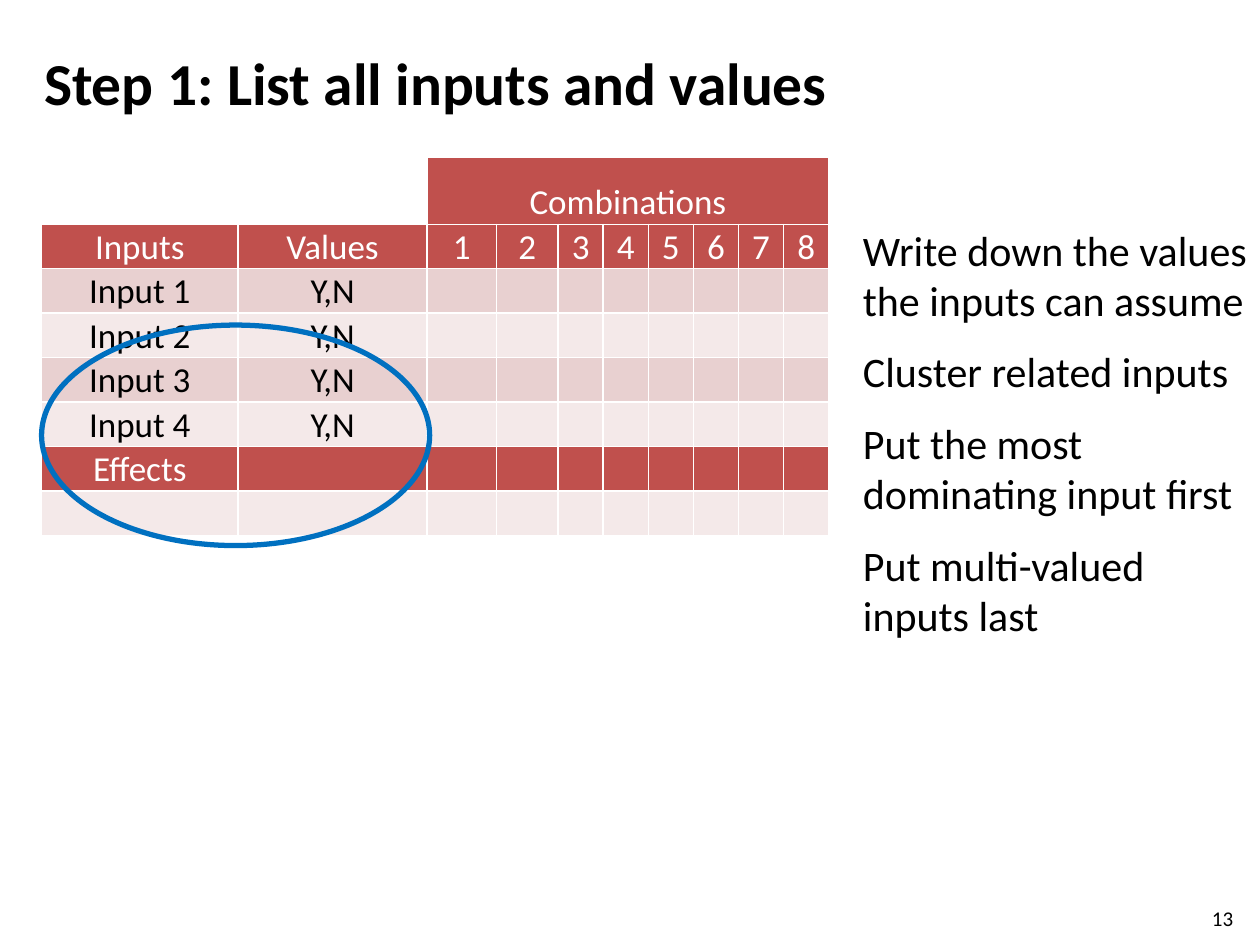
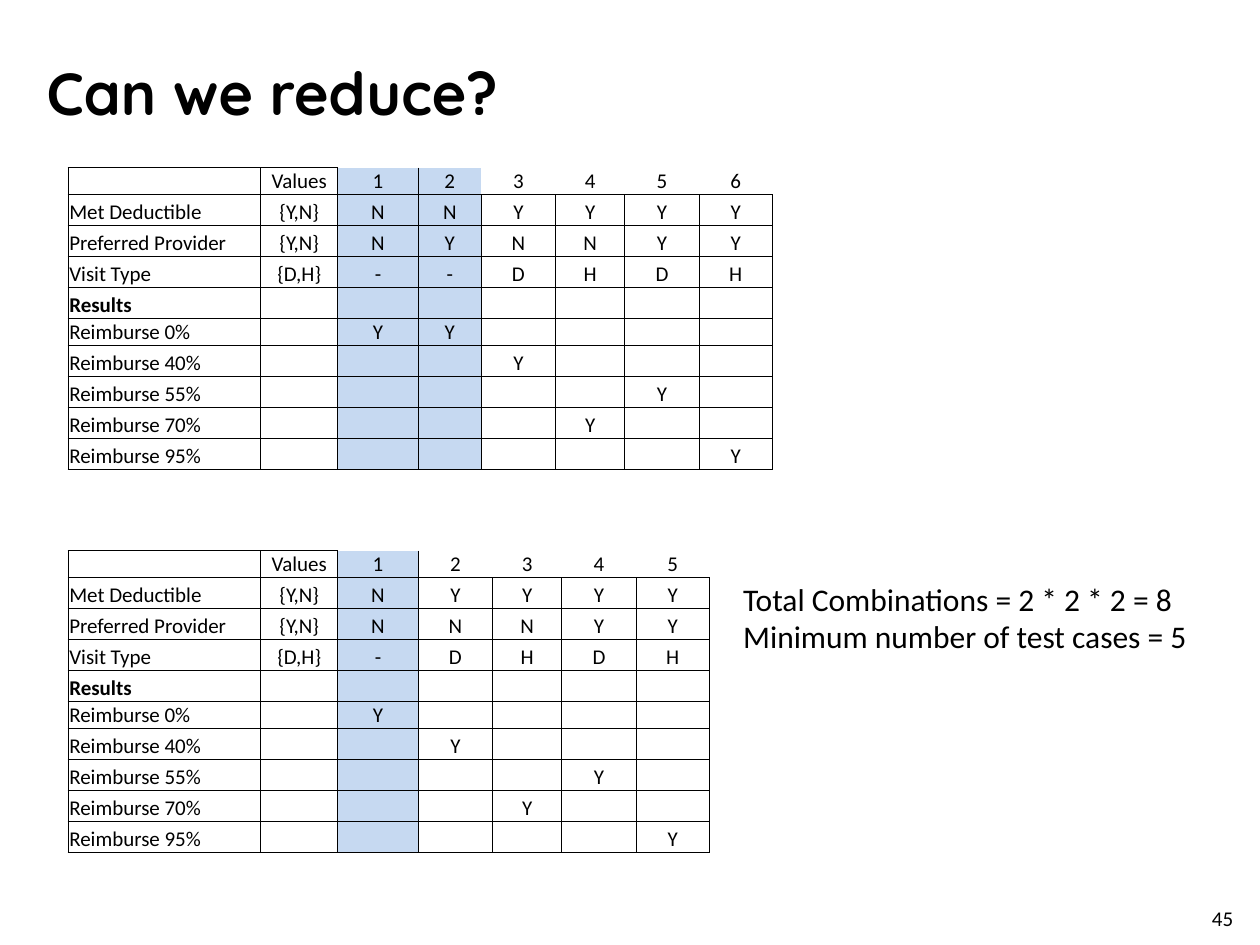
"""Build two slides about decision tables for choosing test cases."""
from lxml import etree
from pptx import Presentation
from pptx.dml.color import RGBColor
from pptx.enum.shapes import MSO_SHAPE
from pptx.enum.text import MSO_ANCHOR, MSO_AUTO_SIZE, PP_ALIGN
from pptx.oxml.ns import qn
from pptx.util import Inches, Pt

LEFT, CENTER = PP_ALIGN.LEFT, PP_ALIGN.CENTER
TOP, MIDDLE, BOTTOM = MSO_ANCHOR.TOP, MSO_ANCHOR.MIDDLE, MSO_ANCHOR.BOTTOM
NO_FIT = MSO_AUTO_SIZE.NONE
OVAL = MSO_SHAPE.OVAL
TITLE_ONLY = 5
COLUMNS, ROWS = 100, 75
PLAIN_TABLE = "{2D5ABB26-0587-4C30-8999-92F81FD0307C}"
COLORS = {
    "ink": "000000", "paper": "FFFFFF", "header": "C0504D", "band_dark": "E8D0D0",
    "band_light": "F4E9E9", "highlight": "C6D9F1", "ring": "0070C0",
}
FONT = "Calibri"

HINTS = [
    "Write down the values the inputs can assume",
    "Cluster related inputs",
    "Put the most dominating input first",
    "Put multi-valued inputs last",
]
CONDITIONS = [("Met Deductible", "{Y,N}"), ("Preferred Provider", "{Y,N}"), ("Visit Type", "{D,H}")]
RATES = [0, 40, 55, 70, 95]
CASES = [
    ("NN-", 0, 6.4), ("NY-", 0, 5), ("YND", 40, 5.9),
    ("YNH", 70, 5.5), ("YYD", 55, 5.9), ("YYH", 95, 5.8),
]


def set_all(target, values):
    """Set each named attribute of the target."""
    for name, value in values.items():
        setattr(target, name, value)


class SlideMaker:
    """Hold the deck, the shared style and the current slide."""

    def __init__(self):
        """Start an empty deck measured by the grid."""
        self.deck = Presentation()
        set_all(self.deck, {"slide_width": Inches(10), "slide_height": Inches(7.5)})
        self.column = self.deck.slide_width / COLUMNS
        self.row = self.deck.slide_height / ROWS
        self.page = None

    def place(self, left, top, width, height):
        """Turn grid columns and rows into lengths."""
        return (round(left * self.column), round(top * self.row),
                round(width * self.column), round(height * self.row))

    def color(self, name):
        """Look up a colour."""
        return RGBColor.from_string(COLORS[name])

    def add_span(self, para, text, size, color="ink", bold=False, font=FONT, align=LEFT):
        """Put one formatted span into a paragraph."""
        para.alignment = align
        span = para.add_run()
        span.text = text
        set_all(span.font, {"size": Pt(size), "name": font, "bold": bold})
        span.font.color.rgb = self.color(color)

    def start(self, title, number, area, font=FONT):
        """Add a slide with its title and page number."""
        self.page = self.deck.slides.add_slide(self.deck.slide_layouts[TITLE_ONLY])
        box = self.page.shapes.title
        set_all(box, dict(zip(("left", "top", "width", "height"), self.place(*area))))
        set_all(box.text_frame, {"word_wrap": True, "auto_size": NO_FIT, "vertical_anchor": MIDDLE})
        self.add_span(box.text_frame.paragraphs[0], title, 34, bold=True, font=font)
        self.text((95.2, 71.4, 4, 2.4), [str(number)], 12)

    def text(self, area, lines, size, gap=0):
        """Add a text box with one paragraph a line."""
        frame = self.page.shapes.add_textbox(*self.place(*area)).text_frame
        set_all(frame, {"word_wrap": True, "auto_size": NO_FIT, "vertical_anchor": TOP})
        for index, line in enumerate(lines):
            para = frame.add_paragraph() if index else frame.paragraphs[0]
            para.space_after = Pt(gap)
            self.add_span(para, line, size)

    def ring(self, area):
        """Add an unfilled ellipse."""
        shape = self.page.shapes.add_shape(OVAL, *self.place(*area))
        shape.shadow.inherit = False
        shape.fill.background()
        shape.line.color.rgb = self.color("ring")
        shape.line.width = Pt(3)

    def border(self, cell, sides, color, width):
        """Draw the named sides of a cell."""
        properties = cell._tc.get_or_add_tcPr()
        for side in sides:
            line = etree.SubElement(properties, qn(f"a:ln{side}"), w=str(Pt(width)))
            fill = etree.SubElement(line, qn("a:solidFill"))
            etree.SubElement(fill, qn("a:srgbClr"), val=COLORS[color])

    def table(self, corner, widths, heights, rows, size, inset, border, look):
        """Add a table whose cell formats come from look(row, column)."""
        area = self.place(*corner, sum(widths), sum(heights))
        table = self.page.shapes.add_table(len(rows), len(widths), *area).table
        set_all(table, {"first_row": False, "horz_banding": False})
        table._tbl.tblPr.find(qn("a:tableStyleId")).text = PLAIN_TABLE
        for column, width in zip(table.columns, widths):
            column.width = round(width * self.column)
        for row, height in zip(table.rows, heights):
            row.height = round(height * self.row)
        margins = {f"margin_{side}": Inches(inset) for side in ("left", "right", "top")}
        for r, texts in enumerate(rows):
            for c, text in enumerate(texts):
                cell, style = table.cell(r, c), look(r, c)
                set_all(cell, {**margins, "margin_bottom": 0, "vertical_anchor": BOTTOM})
                self.border(cell, style.pop("sides", "LRTB"), *border)
                fill = style.pop("fill", None)
                if fill:
                    cell.fill.solid()
                    cell.fill.fore_color.rgb = self.color(fill)
                else:
                    cell.fill.background()
                para = cell.text_frame.paragraphs[0]
                if text:
                    self.add_span(para, text, size, **style)
                else:
                    etree.SubElement(para._p, qn("a:endParaRPr"), sz=str(size * 100))
        return table


def input_look(row, column):
    """Format a cell of the input table."""
    if row == 0 and column < 2:
        return {}
    if row in (0, 1, 6):
        return {"fill": "header", "color": "paper", "align": CENTER}
    return {"fill": "band_light" if row % 2 or row == 7 else "band_dark", "align": CENTER}


def add_inputs(maker):
    """Build the slide that lists inputs and values."""
    maker.start("Step 1: List all inputs and values", 13, (2.5, 3, 86.7, 7))
    maker.text((67.5, 17.3, 32.5, 39.6), HINTS, 24, gap=12)
    blank = [""] * 8
    rows = [["", "", "Combinations"] + blank[1:],
            ["Inputs", "Values"] + [str(number) for number in range(1, 9)]]
    rows += [[f"Input {number}", "Y,N"] + blank for number in range(1, 5)]
    rows += [["Effects", ""] + blank, ["", ""] + blank]
    widths = [15.6, 15, 5.5, 4.9] + [3.58] * 6
    table = maker.table((3.3, 12.5), widths, [5.3] + [3.53] * 7, rows, 20, 0,
                        ("paper", 1), input_look)
    table.cell(0, 2).merge(table.cell(0, 9))
    maker.ring((3.3, 25.8, 30.8, 17.5))


def add_decision_table(maker, top, cases, shaded):
    """Add a table of cases with the first ones shaded."""
    rows = [["", "Values"] + [str(index + 1) for index in range(len(cases))]]
    for index, (label, values) in enumerate(CONDITIONS):
        rows.append([label, values] + [inputs[index] for inputs, _, _ in cases])
    rows.append(["Results", ""] + [""] * len(cases))
    for rate in RATES:
        marks = ["Y" if paid == rate else "" for _, paid, _ in cases]
        rows.append([f"Reimburse {rate}%", ""] + marks)
    heights = [2.13 if row in (0, 5) else 2.46 for row in range(len(rows))]

    def look(row, column):
        """Format a cell of the decision table."""
        style = {"align": CENTER if column else LEFT, "bold": row == 4}
        if 2 <= column < 2 + shaded:
            style["fill"] = "highlight"
        if row == 0 and column >= 2:
            style["sides"] = "LB" if column == 2 else "B"
        return style

    widths = [15.3, 6.1] + [width for _, _, width in cases]
    maker.table((5.4, top), widths, heights, rows, 12, 0.01, ("ink", 0.5), look)


def add_reduction(maker):
    """Build the slide that merges two cases into one."""
    maker.start("Can we reduce?", 45, (2.7, 3.7, 86.7, 7.2), font="Quicksand")
    add_decision_table(maker, 13.3, CASES, 2)
    add_decision_table(maker, 43.7, CASES[:1] + CASES[2:], 1)
    maker.text((58, 45.5, 45.3, 7.1),
               ["Total Combinations = 2 * 2 * 2 = 8", "Minimum number of test cases = 5"], 18)


def main():
    """Build and save the deck."""
    maker = SlideMaker()
    add_inputs(maker)
    add_reduction(maker)
    maker.deck.save("out.pptx")


if __name__ == "__main__":
    main()
